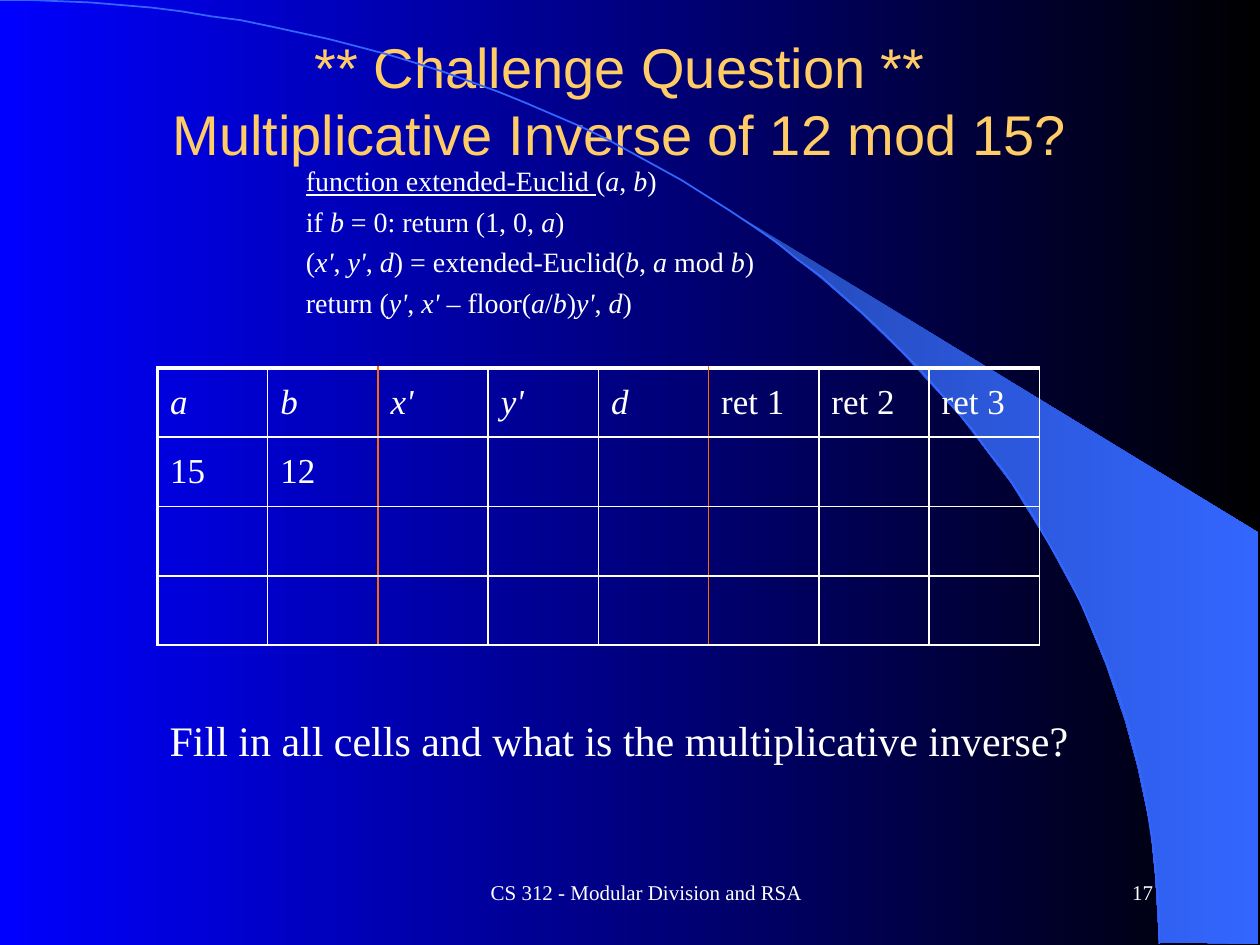
from dataclasses import dataclass
from math import cos, pi, sin

from lxml import etree
from pptx import Presentation
from pptx.dml.color import RGBColor
from pptx.enum.text import MSO_ANCHOR, MSO_AUTO_SIZE, PP_ALIGN
from pptx.oxml.ns import qn
from pptx.util import Pt

PX = 9144  # EMU per px, at 100 px to the inch
LEFT, CENTER, RIGHT = PP_ALIGN.LEFT, PP_ALIGN.CENTER, PP_ALIGN.RIGHT
TOP, MIDDLE = MSO_ANCHOR.TOP, MSO_ANCHOR.MIDDLE
GROW, FIXED = MSO_AUTO_SIZE.SHAPE_TO_FIT_TEXT, MSO_AUTO_SIZE.NONE
SERIF, SANS = "Times New Roman", "Arial"

WHITE = RGBColor(0xFF, 0xFF, 0xFF)
BLACK = RGBColor(0x00, 0x00, 0x00)
BLUE = RGBColor(0x00, 0x00, 0xFF)
SKY = RGBColor(0x33, 0x66, 0xFF)
DEEP_SKY = RGBColor(0x24, 0x49, 0xB6)
GOLD = RGBColor(0xFF, 0xCC, 0x66)
ORANGE = RGBColor(0xFF, 0x66, 0x00)

WEDGE = [(920, 748), (999, 749), (999, 423), (589, 173), (624, 199), (653, 222),
         (685, 250), (716, 280), (762, 330), (803, 384), (832, 431), (858, 479),
         (878, 528), (893, 572), (903, 609), (913, 656), (917, 696)]
ARC_WIDTH, ARC_HEIGHT, ARC_STEPS = 920, 749, 60

TITLE_LINES = ["** Challenge Question **", "Multiplicative Inverse of 12 mod 15?"]
HEADERS = ["a", "b", "x'", "y'", "d", "ret 1", "ret 2", "ret 3"]
ITALIC_HEADERS = 5
FIRST_CALL = ["15", "12"]
ROWS, ROW_HEIGHT = 4, 55
ORANGE_EDGES = (2, 5)


@dataclass
class Run:
    text: str
    italic: bool = False
    underline: bool = False


@dataclass
class Label:
    text: str
    left: int
    top: int
    width: int
    height: int
    size: int
    align: PP_ALIGN = CENTER
    anchor: MSO_ANCHOR = MIDDLE
    wrap: bool = True
    auto_size: MSO_AUTO_SIZE = FIXED


LABELS = [
    Label("CS 312 - Modular Division and RSA", 317, 683, 392, 50, 12),
    Label("17", 717, 683, 208, 50, 12, RIGHT),
    Label("Fill in all cells and what is the multiplicative inverse?",
          122, 562, 739, 50, 24, anchor=TOP, wrap=False, auto_size=GROW),
]


def alternate(text: str) -> list[Run]:
    """Split at each | into runs that are upright, italic, upright and so on."""
    return [Run(part, i % 2 == 1) for i, part in enumerate(text.split("|")) if part]


CODE = [
    [Run("function extended-Euclid ", underline=True), *alternate("(|a|, |b|)")],
    alternate("if |b| = 0: return (1, 0, |a|)"),
    alternate("(|x'|, |y'|, |d|) = extended-Euclid(|b|, |a |mod |b|)"),
    alternate("return (|y'|, |x' |– floor(|a|/|b|)|y'|, |d|)"),
]


def place(shape, left: int, top: int, width: int, height: int) -> None:
    shape.left, shape.top = left * PX, top * PX
    shape.width, shape.height = width * PX, height * PX


def add_run(p, run: Run, size: int, font: str = SERIF, color: RGBColor = WHITE) -> None:
    r = p.add_run()
    r.text = run.text
    r.font.name, r.font.size = font, Pt(size)
    r.font.italic, r.font.underline = run.italic, run.underline
    r.font.color.rgb = color


def set_gradient(fill, start: RGBColor, end: RGBColor) -> None:
    fill.gradient()
    fill.gradient_angle = 0
    for stop, color in zip(fill.gradient_stops, (start, end)):
        stop.color.rgb = color


def add_outline(s, points: list[tuple[float, float]], close: bool):
    builder = s.shapes.build_freeform(*points[0], scale=PX)
    builder.add_line_segments(points[1:], close=close)
    sp = builder.convert_to_shape()
    sp.shadow.inherit = False
    return sp


def add_backdrop(s) -> None:
    set_gradient(s.background.fill, BLUE, BLACK)
    wedge = add_outline(s, WEDGE, close=True)
    set_gradient(wedge.fill, DEEP_SKY, SKY)
    wedge.line.fill.background()

    angles = [pi / 2 * i / ARC_STEPS for i in range(ARC_STEPS + 1)]
    arc = add_outline(s, [(ARC_WIDTH * sin(t), ARC_HEIGHT * (1 - cos(t))) for t in angles],
                      close=False)
    arc.fill.background()
    arc.line.color.rgb, arc.line.width = SKY, Pt(1)


def add_title(s) -> None:
    title = s.shapes.title
    place(title, 67, 33, 850, 92)
    tf = title.text_frame
    tf.auto_size, tf.vertical_anchor = FIXED, MIDDLE
    p = tf.paragraphs[0]
    p.alignment = CENTER
    for i, line in enumerate(TITLE_LINES):
        if i:
            p.add_line_break()
        add_run(p, Run(line), 32, SANS, GOLD)


def add_label(s, label: Label) -> None:
    sp = s.shapes.add_textbox(0, 0, 0, 0)
    place(sp, label.left, label.top, label.width, label.height)
    tf = sp.text_frame
    tf.word_wrap, tf.auto_size, tf.vertical_anchor = label.wrap, label.auto_size, label.anchor
    p = tf.paragraphs[0]
    p.alignment = label.align
    add_run(p, Run(label.text), label.size)


def add_code(s) -> None:
    sp = s.shapes.add_textbox(0, 0, 0, 0)
    place(sp, 183, 125, 692, 133)
    tf = sp.text_frame
    tf.word_wrap, tf.auto_size = True, GROW
    for i, runs in enumerate(CODE):
        p = tf.add_paragraph() if i else tf.paragraphs[0]
        p.level, p.space_before = 1, Pt(4)
        pPr = p._p.get_or_add_pPr()
        pPr.set("marL", str(50 * PX))
        pPr.set("indent", "0")
        for run in runs:
            add_run(p, run, 16)


def set_borders(cell, row: int, col: int) -> None:
    """Thick top and left table edges, orange between the column groups."""
    edges = {
        "a:lnL": (col == 0, col in ORANGE_EDGES),
        "a:lnR": (False, col + 1 in ORANGE_EDGES),
        "a:lnT": (row == 0, False),
        "a:lnB": (False, False),
    }
    tcPr = cell._tc.get_or_add_tcPr()
    for i, (tag, (thick, orange)) in enumerate(edges.items()):
        ln = etree.Element(qn(tag), w=str(Pt(2.25 if thick else 1)))
        fill = etree.SubElement(ln, qn("a:solidFill"))
        etree.SubElement(fill, qn("a:srgbClr"), val=str(ORANGE if orange else WHITE))
        tcPr.insert(i, ln)


def add_call_table(s) -> None:
    frame = s.shapes.add_table(ROWS, len(HEADERS), 125 * PX, 292 * PX,
                               700 * PX, ROWS * ROW_HEIGHT * PX)
    table = frame.table
    table.first_row = table.horz_banding = False
    contents = [[Run(h, i < ITALIC_HEADERS) for i, h in enumerate(HEADERS)],
                [Run(value) for value in FIRST_CALL]]
    for row in range(ROWS):
        for col in range(len(HEADERS)):
            cell = table.cell(row, col)
            cell.fill.background()
            cell.vertical_anchor = MIDDLE
            set_borders(cell, row, col)
            if row < len(contents) and col < len(contents[row]):
                p = cell.text_frame.paragraphs[0]
                p.alignment, p.space_before = LEFT, Pt(4)
                add_run(p, contents[row][col], 20)


def main() -> None:
    prs = Presentation()
    prs.slide_width, prs.slide_height = 1000 * PX, 750 * PX
    s = prs.slides.add_slide(prs.slide_layouts[5])
    add_backdrop(s)
    add_title(s)
    add_call_table(s)
    add_code(s)
    for label in LABELS:
        add_label(s, label)
    prs.save("out.pptx")


if __name__ == "__main__":
    main()
